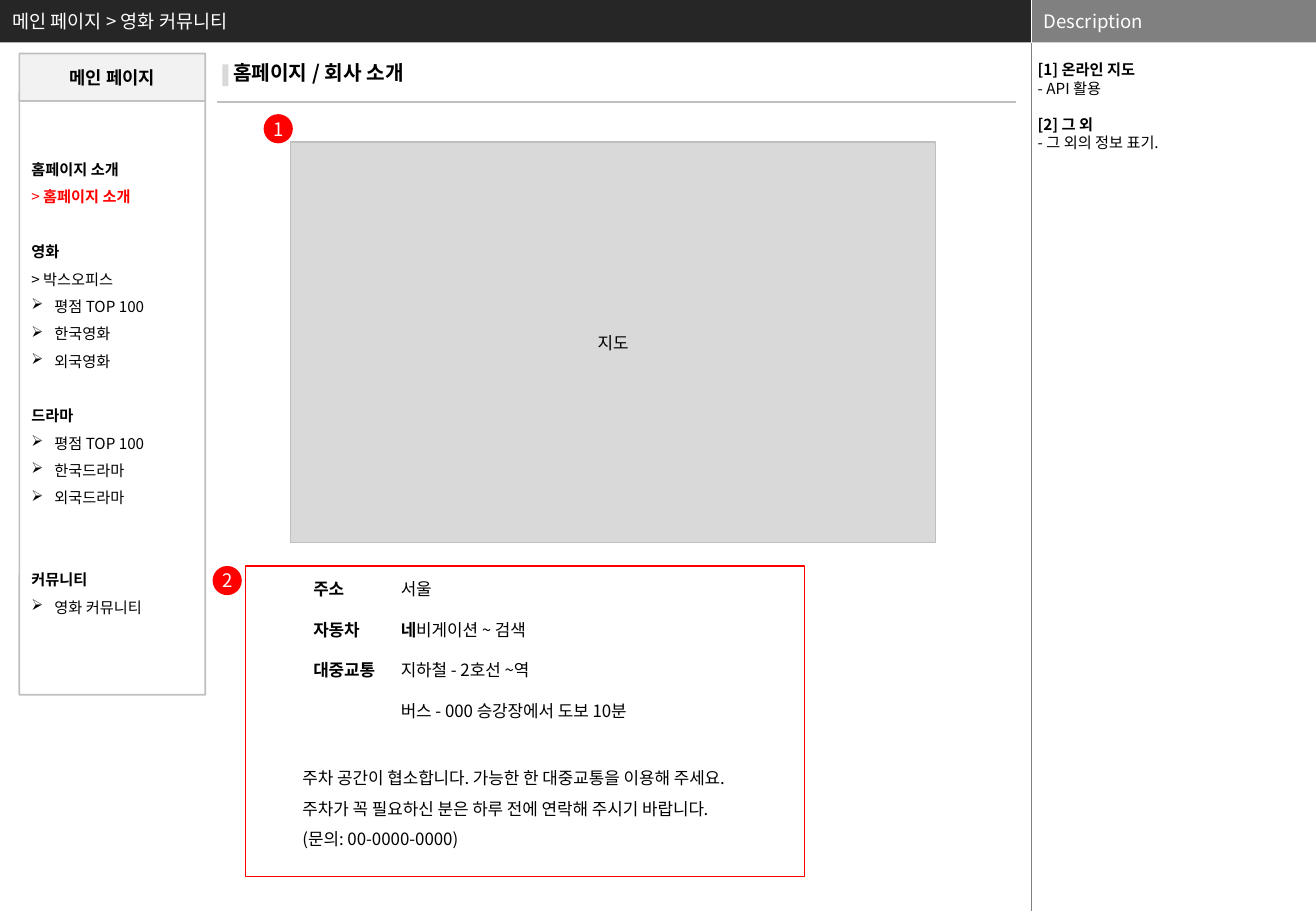
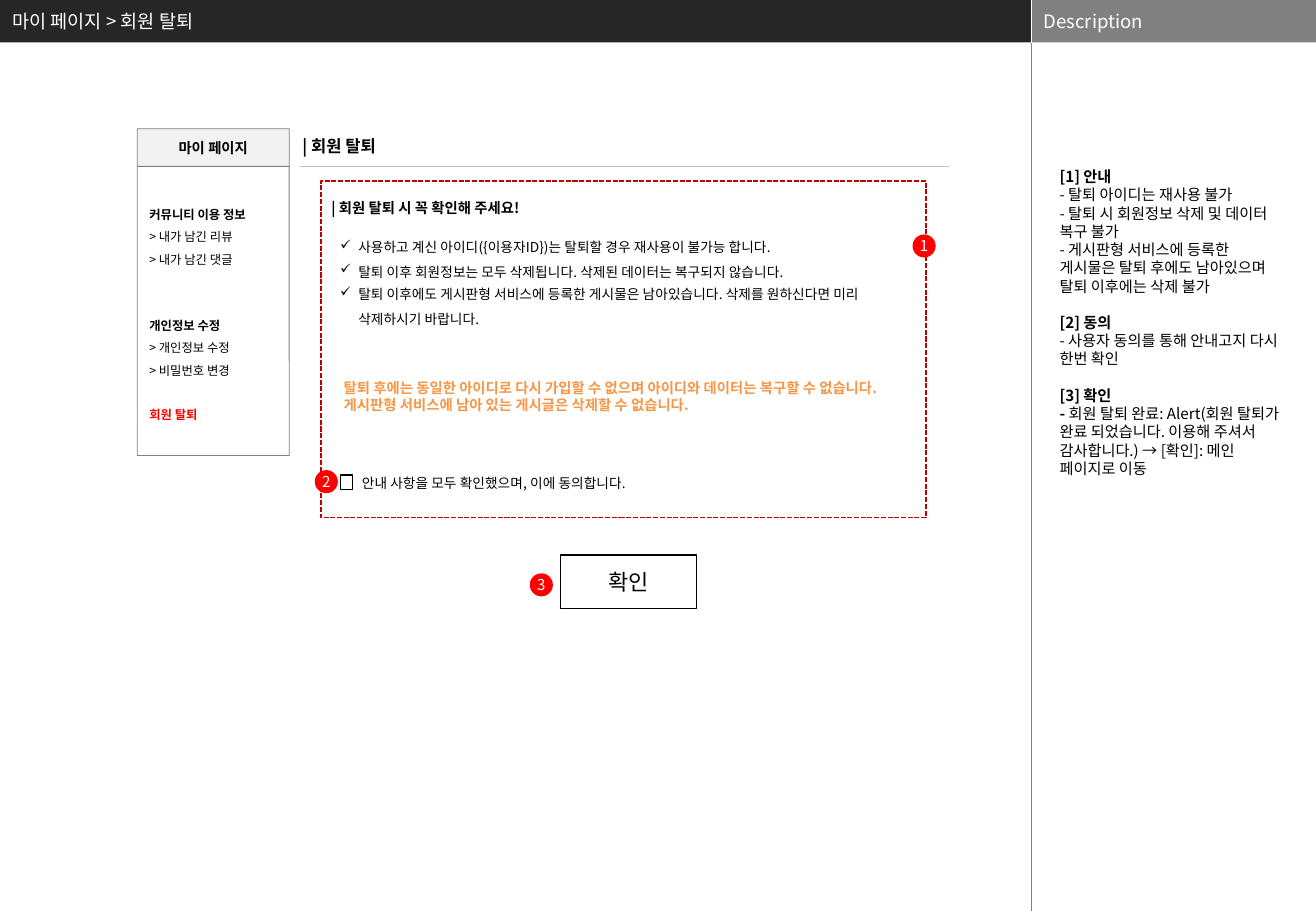
from dataclasses import dataclass

from lxml import etree
from pptx import Presentation
from pptx.dml.color import RGBColor
from pptx.enum import dml, shapes, text
from pptx.oxml import ns
from pptx.util import Inches, Pt

FONT = "Noto Sans CJK KR"
BLACK = RGBColor(0x00, 0x00, 0x00)
WHITE = RGBColor(0xFF, 0xFF, 0xFF)
RED = RGBColor(0xFF, 0x00, 0x00)
DARK_RED = RGBColor(0xC0, 0x00, 0x00)
ORANGE = RGBColor(0xF7, 0x96, 0x46)
CHARCOAL = RGBColor(0x26, 0x26, 0x26)
GRAY = RGBColor(0x80, 0x80, 0x80)
SILVER = RGBColor(0xBF, 0xBF, 0xBF)
LIGHT_GRAY = RGBColor(0xD9, 0xD9, 0xD9)
PALE_GRAY = RGBColor(0xF2, 0xF2, 0xF2)

SLIDE_WIDTH, SLIDE_HEIGHT = 10.83, 7.5
BAND_HEIGHT = 0.35
DIVIDER = 8.49
LINE_HEIGHT = 1.2

RECTANGLE = shapes.MSO_SHAPE.RECTANGLE
ROUNDED = shapes.MSO_SHAPE.ROUNDED_RECTANGLE
OVAL = shapes.MSO_SHAPE.OVAL
LEFT, CENTER = text.PP_ALIGN.LEFT, text.PP_ALIGN.CENTER
TOP, MIDDLE = text.MSO_ANCHOR.TOP, text.MSO_ANCHOR.MIDDLE


@dataclass
class Line:
    """Text between asterisks is bold; gap counts empty lines above."""
    words: str
    gap: int = 0
    color: RGBColor = BLACK
    bullet: str = ""
    indent: float = 0.19
    tab: float = 0


def add_run(paragraph, words, size, bold, color):
    run = paragraph.add_run()
    run.text = words
    font = run.font
    font.name, font.size, font.bold = FONT, Pt(size), bold
    font.color.rgb = color
    east_asian = etree.SubElement(run._r.get_or_add_rPr(), ns.qn("a:ea"))
    east_asian.set("typeface", FONT)


def write(frame, lines, size, spacing=1, align=LEFT, anchor=TOP, inset=(0.1, 0.05), wrap=True):
    frame.word_wrap = wrap
    frame.auto_size = text.MSO_AUTO_SIZE.NONE
    frame.vertical_anchor = anchor
    frame.margin_left = frame.margin_right = Inches(inset[0])
    frame.margin_top = frame.margin_bottom = Inches(inset[1])
    pitch = round(size * LINE_HEIGHT * spacing, 2)
    for index, line in enumerate(lines):
        paragraph = frame.add_paragraph() if index else frame.paragraphs[0]
        paragraph.alignment = align
        paragraph.line_spacing = Pt(pitch)
        paragraph.space_before = Pt(line.gap * pitch)
        properties = paragraph._p.get_or_add_pPr()
        if line.bullet:
            properties.set("marL", str(Inches(line.indent)))
            properties.set("indent", str(-Inches(line.indent)))
            etree.SubElement(properties, ns.qn("a:buChar")).set("char", line.bullet)
        if line.tab:
            tabs = etree.SubElement(properties, ns.qn("a:tabLst"))
            stop = etree.SubElement(tabs, ns.qn("a:tab"))
            stop.set("pos", str(Inches(line.tab)))
            stop.set("algn", "l")
        for position, words in enumerate(line.words.split("*")):
            if words:
                add_run(paragraph, words, size, position % 2 == 1, line.color)


def add_text(slide, box, lines, size, **layout):
    shape = slide.shapes.add_textbox(*map(Inches, box))
    write(shape.text_frame, lines, size, **layout)


def add_box(slide, box, fill=None, outline=None, weight=0.75, kind=RECTANGLE):
    shape = slide.shapes.add_shape(kind, *map(Inches, box))
    shape.shadow.inherit = False
    if kind == ROUNDED:
        shape.adjustments[0] = 0.001
    if fill is None:
        shape.fill.background()
    else:
        shape.fill.solid()
        shape.fill.fore_color.rgb = fill
    if outline is None:
        shape.line.fill.background()
    else:
        shape.line.color.rgb = outline
        shape.line.width = Pt(weight)
    return shape


def add_label(slide, box, words, size, color=BLACK, **style):
    shape = add_box(slide, box, **style)
    write(shape.text_frame, [Line(words, color=color)], size,
          align=CENTER, anchor=MIDDLE, inset=(0, 0), wrap=False)


def add_badge(slide, left, top, number, diameter, size):
    add_label(slide, (left, top, diameter, diameter), str(number), size, WHITE,
              fill=RED, kind=OVAL)


def add_rule(slide, start, end, color, weight=0.75):
    line = slide.shapes.add_connector(shapes.MSO_CONNECTOR.STRAIGHT,
                                      *map(Inches, start + end))
    line.line.color.rgb = color
    line.line.width = Pt(weight)
    etree.SubElement(line._element.spPr, ns.qn("a:effectLst"))


def add_sidebar(slide, box, header_height, title, title_size, lines, size,
                outline, weight, bottom_inset=0.05):
    left, top, width, height = box
    body = add_box(slide, (left, top + header_height, width, height - header_height),
                   outline=outline, weight=weight, kind=ROUNDED)
    write(body.text_frame, lines, size, spacing=1.5, anchor=MIDDLE)
    body.text_frame.margin_bottom = Inches(bottom_inset)
    add_label(slide, (left, top, width, header_height), f"*{title}*", title_size,
              fill=PALE_GRAY, outline=outline, weight=weight, kind=ROUNDED)


def add_page(presentation, title):
    slide = presentation.slides.add_slide(presentation.slide_layouts[5])
    heading = slide.shapes.title
    heading.left, heading.top = Inches(0), Inches(0)
    heading.width, heading.height = Inches(DIVIDER), Inches(BAND_HEIGHT)
    heading.fill.solid()
    heading.fill.fore_color.rgb = CHARCOAL
    write(heading.text_frame, [Line(title, color=WHITE)], 11, anchor=MIDDLE)
    band = add_box(slide, (DIVIDER, 0, SLIDE_WIDTH - DIVIDER, BAND_HEIGHT), fill=GRAY)
    write(band.text_frame, [Line("Description", color=WHITE)], 11, anchor=MIDDLE)
    add_rule(slide, (DIVIDER, 0), (DIVIDER, BAND_HEIGHT), WHITE, 0.25)
    add_rule(slide, (DIVIDER, BAND_HEIGHT), (DIVIDER, SLIDE_HEIGHT), GRAY, 0.25)
    return slide


def arrows(*items):
    return [Line(item, bullet="➢") for item in items]


def build_company_page(presentation):
    slide = add_page(presentation, "메인 페이지 > 영화 커뮤니티")
    add_text(slide, (8.5, 0.5, 2.33, 6.9), [
        Line("*[1] 온라인 지도*"),
        Line("- API 활용"),
        Line("*[2] 그 외*", gap=1),
        Line("- 그 외의 정보 표기."),
    ], 9, inset=(0.04, 0))
    add_text(slide, (1.82, 0.45, 2.76, 0.3), [Line("*홈페이지 / 회사 소개*")], 12)
    add_box(slide, (1.83, 0.53, 0.05, 0.18), fill=LIGHT_GRAY)
    add_rule(slide, (1.79, 0.84), (8.36, 0.84), SILVER)

    menu = [
        Line("*홈페이지 소개*"),
        Line("> *홈페이지 소개*", color=RED),
        Line("*영화*", gap=1),
        Line("> 박스오피스"),
        *arrows("평점 TOP 100", "한국영화", "외국영화"),
        Line("*드라마*", gap=1),
        *arrows("평점 TOP 100", "한국드라마", "외국드라마"),
        Line("*커뮤니티*", gap=2),
        *arrows("영화 커뮤니티"),
    ]
    add_sidebar(slide, (0.16, 0.44, 1.53, 5.28), 0.39, "메인 페이지", 10.5, menu, 9,
                SILVER, 1, bottom_inset=0.28)

    add_label(slide, (2.39, 1.17, 5.31, 3.3), "지도", 10, fill=LIGHT_GRAY, outline=SILVER)
    add_box(slide, (2.02, 4.66, 4.6, 2.56), outline=RED)
    directions = ["*주소*\t서울", "*자동차\t네*비게이션 ~ 검색",
                  "*대중교통*\t지하철 - 2호선 ~역", "\t버스 - 000 승강장에서 도보 10분"]
    add_text(slide, (2.48, 4.55, 5.2, 1.39),
             [Line(words, tab=0.72) for words in directions], 10, spacing=2)
    add_text(slide, (2.39, 6.19, 5.31, 0.86), [
        Line("주차 공간이 협소합니다. 가능한 한 대중교통을 이용해 주세요."),
        Line("주차가 꼭 필요하신 분은 하루 전에 연락해 주시기 바랍니다."),
        Line("(문의: 00-0000-0000)"),
    ], 10, spacing=1.5)
    for number, (left, top) in enumerate([(2.17, 0.94), (1.75, 4.66)], 1):
        add_badge(slide, left, top, number, 0.24, 11)


def build_withdrawal_page(presentation):
    slide = add_page(presentation, "마이 페이지 > 회원 탈퇴")
    add_text(slide, (8.69, 1.38, 1.9, 5.5), [
        Line("*[1] 안내*"),
        Line("- 탈퇴 아이디는 재사용 불가"),
        Line("- 탈퇴 시 회원정보 삭제 및 데이터 복구 불가"),
        Line("- 게시판형 서비스에 등록한 게시물은 탈퇴 후에도 남아있으며 탈퇴 이후에는 삭제 불가"),
        Line("*[2] 동의*", gap=1),
        Line("- 사용자 동의를 통해 안내고지 다시 한번 확인"),
        Line("*[3] 확인*", gap=1),
        Line("*- *회원 탈퇴 완료: Alert(회원 탈퇴가 완료 되었습니다. 이용해 주셔서 감사합니다.) "
             "→ [확인]: 메인 페이지로 이동"),
    ], 9, inset=(0.03, 0))
    add_text(slide, (2.39, 1.07, 2.24, 0.27), [Line("*| 회원 탈퇴*")], 9.8)
    add_rule(slide, (2.47, 1.37), (7.81, 1.37), SILVER)

    menu = [
        Line("*커뮤니티 이용 정보*"),
        Line("> 내가 남긴 리뷰"),
        Line("> 내가 남긴 댓글"),
        Line("*개인정보 수정*", gap=2),
        Line("> 개인정보 수정"),
        Line("> 비밀번호 변경"),
        Line("*회원 탈퇴*", gap=1, color=RED),
    ]
    add_sidebar(slide, (1.13, 1.06, 1.25, 2.69), 0.31, "마이 페이지", 8.5, menu, 7.3, GRAY, 0.5)

    notice = add_box(slide, (2.64, 1.49, 4.98, 2.77), outline=DARK_RED, weight=1)
    notice.line.dash_style = dml.MSO_LINE.SQUARE_DOT
    add_text(slide, (2.63, 1.59, 2.4, 0.24), [Line("*| 회원 탈퇴 시 꼭 확인해 주세요!*")], 8.5)
    checks = [
        (1.85, ["사용하고 계신 아이디({이용자ID})는 탈퇴할 경우 재사용이 불가능 합니다.",
                "탈퇴 이후 회원정보는 모두 삭제됩니다. 삭제된 데이터는 복구되지 않습니다."]),
        (2.24, ["탈퇴 이후에도 게시판형 서비스에 등록한 게시물은 남아있습니다. "
                "삭제를 원하신다면 미리 삭제하시기 바랍니다."]),
    ]
    for top, items in checks:
        add_text(slide, (2.7, top, 4.55, 0.5),
                 [Line(item, bullet="✓", indent=0.15) for item in items], 8.1, spacing=1.5)
    add_text(slide, (2.73, 3.07, 4.81, 0.53), [
        Line("*탈퇴 후에는 동일한 아이디로 다시 가입할 수 없으며 아이디와 데이터는 복구할 수 없습니다.*",
             color=ORANGE),
        Line("*게시판형 서비스에 남아 있는 게시글은 삭제할 수 없습니다.*", color=ORANGE),
    ], 8.5)
    add_box(slide, (2.8, 3.91, 0.1, 0.12), fill=WHITE, outline=BLACK)
    add_text(slide, (2.88, 3.86, 3.15, 0.24),
             [Line("안내 사항을 모두 확인했으며, 이에 동의합니다.")], 8.1)
    add_label(slide, (4.61, 4.57, 1.12, 0.44), "확인", 13, fill=WHITE, outline=BLACK)
    for number, (left, top) in enumerate([(7.51, 1.93), (2.59, 3.87), (4.36, 4.72)], 1):
        add_badge(slide, left, top, number, 0.19, 8.9)


def main():
    presentation = Presentation()
    presentation.slide_width = Inches(SLIDE_WIDTH)
    presentation.slide_height = Inches(SLIDE_HEIGHT)
    build_company_page(presentation)
    build_withdrawal_page(presentation)
    presentation.save("out.pptx")


if __name__ == "__main__":
    main()
